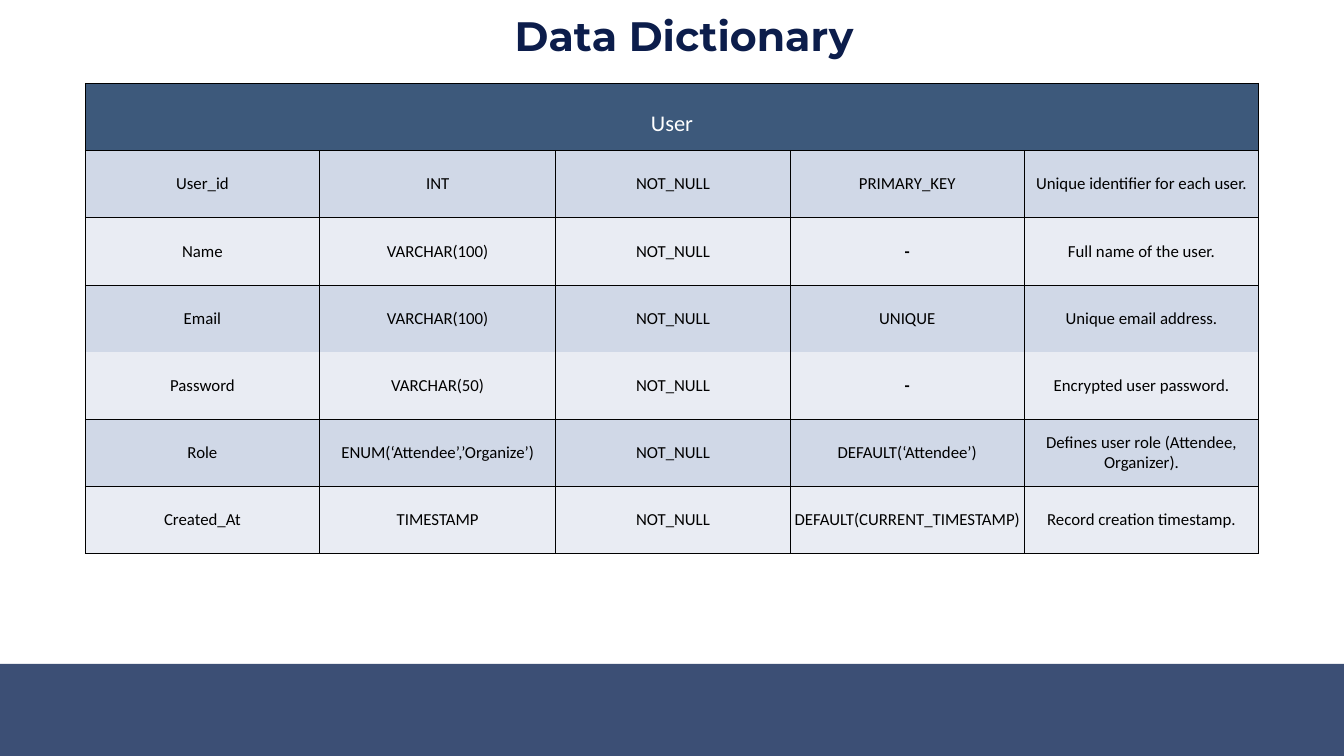
from lxml import etree
from pptx import Presentation
from pptx.dml.color import RGBColor
from pptx.enum.shapes import MSO_SHAPE
from pptx.enum.text import MSO_ANCHOR, MSO_AUTO_SIZE, PP_ALIGN
from pptx.oxml.ns import qn
from pptx.util import Pt

LEFT, CENTER = PP_ALIGN.LEFT, PP_ALIGN.CENTER
TOP, MIDDLE = MSO_ANCHOR.TOP, MSO_ANCHOR.MIDDLE
FIT_SHAPE = MSO_AUTO_SIZE.SHAPE_TO_FIT_TEXT
RECTANGLE = MSO_SHAPE.RECTANGLE

NAVY = RGBColor(0x0C, 0x1D, 0x4B)
BAND_BLUE = RGBColor(0x3C, 0x4F, 0x75)
HEADER_BLUE = RGBColor(0x3D, 0x59, 0x7B)
ROW_DARK = RGBColor(0xD0, 0xD8, 0xE7)
ROW_LIGHT = RGBColor(0xE9, 0xEC, 0xF3)
WHITE = RGBColor(0xFF, 0xFF, 0xFF)
BLACK = RGBColor(0, 0, 0)

TABLE_NAME = "User"
FIELDS = [
    ("User_id", "INT", "NOT_NULL", "PRIMARY_KEY", "Unique identifier for each user."),
    ("Name", "VARCHAR(100)", "NOT_NULL", "-", "Full name of the user."),
    ("Email", "VARCHAR(100)", "NOT_NULL", "UNIQUE", "Unique email address."),
    ("Password", "VARCHAR(50)", "NOT_NULL", "-", "Encrypted user password."),
    ("Role", "ENUM(‘Attendee’,’Organize’)", "NOT_NULL", "DEFAULT(‘Attendee’)",
     "Defines user role (Attendee, Organizer)."),
    ("Created_At", "TIMESTAMP", "NOT_NULL", "DEFAULT(CURRENT_TIMESTAMP)",
     "Record creation timestamp."),
]
COLUMN_WIDTHS = [251, 253.2, 251, 251, 251]
ROW_HEIGHT = 72
EMAIL_ROW, PASSWORD_ROW = 3, 4


def set_borders(cell, hidden):
    """Rule the cell in black on every side but the hidden one."""
    tcPr = cell._tc.get_or_add_tcPr()
    for side in ("lnL", "lnR", "lnT", "lnB"):
        ln = etree.SubElement(tcPr, qn("a:" + side), w=str(Pt(0.96)))
        if side == hidden:
            etree.SubElement(ln, qn("a:noFill"))
        else:
            fill = etree.SubElement(ln, qn("a:solidFill"))
            etree.SubElement(fill, qn("a:srgbClr"), val=str(BLACK))


def format_cell(cell, text, fill, color, size, anchor):
    cell.fill.solid()
    cell.fill.fore_color.rgb = fill
    cell.margin_left = cell.margin_right = cell.margin_top = cell.margin_bottom = 0
    cell.vertical_anchor = anchor
    cell.text = text
    p = cell.text_frame.paragraphs[0]
    p.alignment = CENTER
    p.font.name = "Calibri"
    p.font.size = Pt(size)
    p.font.bold = text == "-"
    p.font.color.rgb = color


prs = Presentation()
prs.slide_width, prs.slide_height = Pt(1440), Pt(810)
s = prs.slides.add_slide(prs.slide_layouts[5])

# Title
title = s.shapes.title
title.left, title.top, title.width, title.height = Pt(544.3), Pt(8), Pt(436.3), Pt(60.5)
tf = title.text_frame
tf.text = "Data Dictionary"
tf.word_wrap = True
tf.auto_size = FIT_SHAPE
tf.vertical_anchor = TOP
p = tf.paragraphs[0]
p.alignment = LEFT
p.font.name = "Montserrat"
p.font.size = Pt(44)
p.font.bold = True
p.font.color.rgb = NAVY

# Footer band
band = s.shapes.add_shape(RECTANGLE, 0, Pt(711.4), Pt(1440), Pt(98.6))
band.shadow.inherit = False
band.fill.solid()
band.fill.fore_color.rgb = BAND_BLUE
band.line.fill.background()

# Table: a merged heading over one row per field
rows = len(FIELDS) + 1
table = s.shapes.add_table(rows, len(COLUMN_WIDTHS), Pt(91.4), Pt(89.3),
                           Pt(sum(COLUMN_WIDTHS)), Pt(rows * ROW_HEIGHT)).table
for column, width in zip(table.columns, COLUMN_WIDTHS):
    column.width = Pt(width)
for row in table.rows:
    row.height = Pt(ROW_HEIGHT)

hidden_sides = {EMAIL_ROW: "lnB", PASSWORD_ROW: "lnT"}
for i, row in enumerate(table.rows):
    for cell in row.cells:
        set_borders(cell, hidden_sides.get(i))

heading = table.cell(0, 0)
heading.merge(table.cell(0, len(COLUMN_WIDTHS) - 1))
format_cell(heading, TABLE_NAME, HEADER_BLUE, WHITE, 24, TOP)
heading.text_frame.paragraphs[0].line_spacing = 2.0

for i, field in enumerate(FIELDS, start=1):
    fill = ROW_DARK if i % 2 else ROW_LIGHT
    for j, text in enumerate(field):
        format_cell(table.cell(i, j), text, fill, BLACK, 18, MIDDLE)

prs.save("out.pptx")
